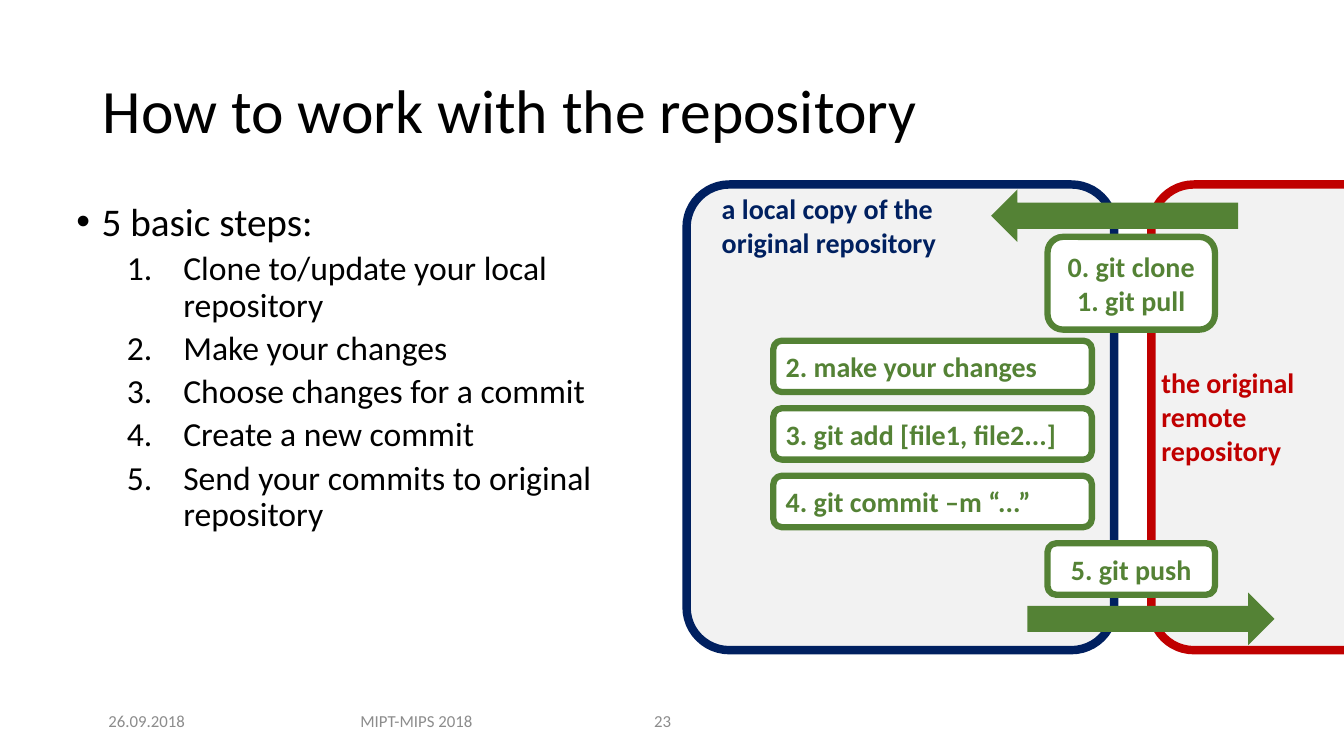
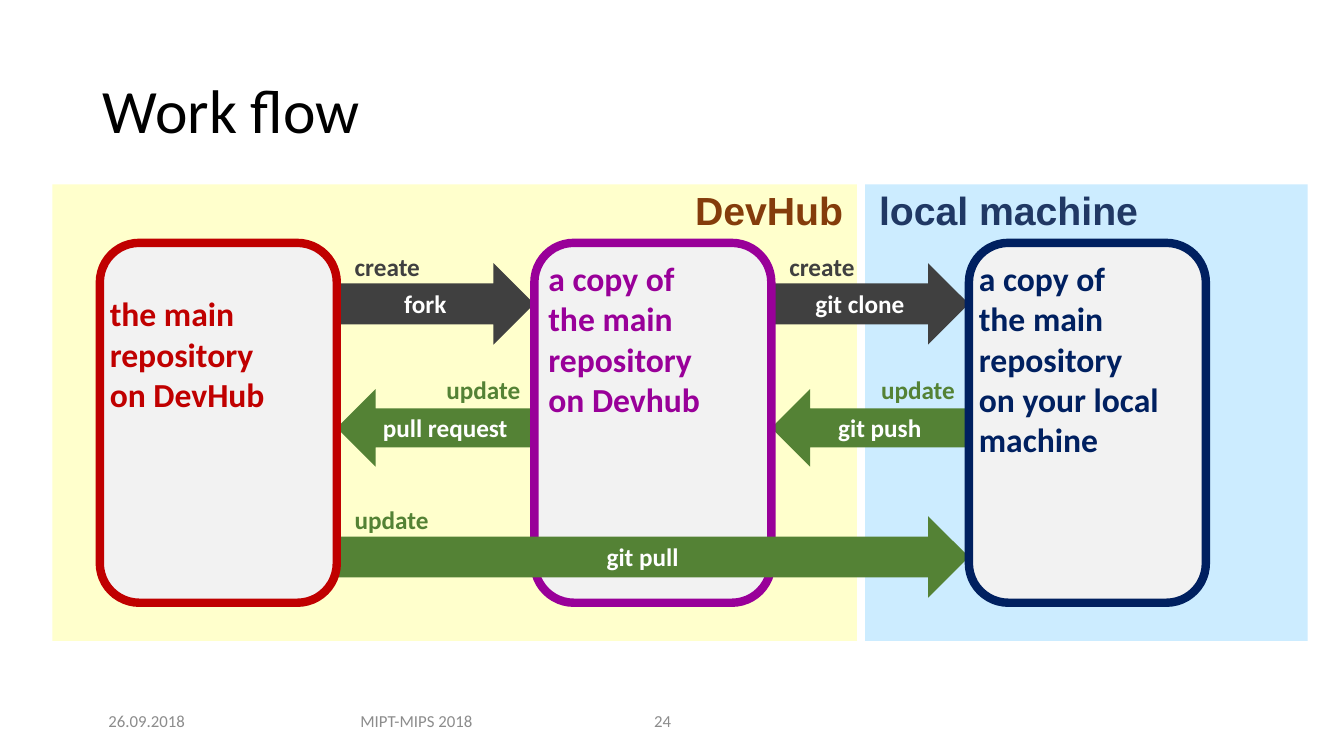
import pptx
import pptx.util
import pptx.dml.color
import pptx.enum.shapes
import pptx.enum.text
from lxml import etree

Inch = pptx.util.Inches
Pt = pptx.util.Pt
Kind = pptx.enum.shapes.MSO_SHAPE
Align = pptx.enum.text.PP_ALIGN
Anchor = pptx.enum.text.MSO_ANCHOR

# Shared look
WIDE, HIGH = 13.33, 7.5
BLACK, WHITE, PALE, GRAY = "000000", "FFFFFF", "F2F2F2", "8C8C8C"
RED, NAVY, PURPLE = "C00000", "002060", "990099"
GREEN, DARK = "548235", "404040"
FONT = {"name": "Calibri", "bold": False}
TITLE = {**FONT, "size": 44, "color": BLACK}
FOOT = {**FONT, "size": 12, "color": GRAY}
STEP = {**FONT, "size": 20, "bold": True, "color": GREEN}
FLOW = {**STEP, "size": 18}
REPO = {**STEP, "size": 24}
ZONE = {**STEP, "name": "Arial", "size": 28}


def rgb(code):
    return pptx.dml.color.RGBColor.from_string(code)


def style(font, form):
    for key, value in form.items():
        if key == "color":
            font.color.rgb = rgb(value)
        else:
            setattr(font, key, Pt(value) if key == "size" else value)


def place(shape, box):
    for key, value in zip(("left", "top", "width", "height"), box):
        setattr(shape, key, Inch(value))


def inner(box, left, top, width, height):
    """Box placed by offset from the corner of another one."""
    return box[0] + left, box[1] + top, width, height


def write(frame, text, form, align=Align.LEFT, anchor=Anchor.TOP):
    frame.text = text
    frame.word_wrap = True
    frame.vertical_anchor = anchor
    for para in frame.paragraphs:
        para.alignment = align
        style(para.font, form)


def label(slide, box, text, form, **look):
    shape = slide.shapes.add_textbox(*map(Inch, box))
    write(shape.text_frame, text, form, **look)


def block(slide, kind, box, fill, line=None, width=6):
    shape = slide.shapes.add_shape(kind, *map(Inch, box))
    shape.shadow.inherit = False
    shape.fill.solid()
    shape.fill.fore_color.rgb = rgb(fill)
    if line:
        shape.line.color.rgb = rgb(line)
        shape.line.width = Pt(width)
    else:
        shape.line.fill.background()
    return shape


# Title and footer of every slide
def start(deck, text, number):
    slide = deck.slides.add_slide(deck.slide_layouts[5])
    title = slide.shapes.title
    place(title, (0.92, 0.4, 11.5, 1.45))
    write(title.text_frame, text, TITLE, anchor=Anchor.MIDDLE)
    title.text_frame.auto_size = pptx.enum.text.MSO_AUTO_SIZE.NONE
    title.text_frame.paragraphs[0].line_spacing = 0.9
    for left, width, note, align in (
            (0.92, 1.07, "26.09.2018", Align.CENTER),
            (3.34, 1.58, "MIPT-MIPS 2018", Align.CENTER),
            (6.39, 0.79, str(number), Align.LEFT)):
        label(slide, (left, 6.95, width, 0.4), note, FOOT,
              align=align, anchor=Anchor.MIDDLE)
    return slide


# List with a bulleted head and numbered steps
def mark(para, left, hang, *tags):
    props = para._p.get_or_add_pPr()
    props.set("marL", str(Inch(left)))
    props.set("indent", str(Inch(-hang)))
    for tag, attrs in tags:
        etree.SubElement(props, pptx.oxml.ns.qn("a:" + tag), attrs)


def outline(slide, box, head, steps):
    frame = slide.shapes.add_textbox(*map(Inch, box)).text_frame
    frame.word_wrap = True
    for row, text in enumerate([head] + steps):
        para = frame.add_paragraph() if row else frame.paragraphs[0]
        para.text = text
        para.line_spacing = 0.9
        if row:
            para.level = 1
            para.space_before = Pt(5)
            mark(para, 1.06, 0.56, ("buAutoNum", {"type": "arabicPeriod"}))
        else:
            mark(para, 0.25, 0.25, ("buFont", {"typeface": "Arial"}),
                 ("buChar", {"char": "•"}))
        style(para.font, {**FONT, "size": 24 if row else 28, "color": BLACK})


# Rounded panel of a repository with its name
def repo(slide, box, color, text, spot, form=REPO, curve=None):
    panel = block(slide, Kind.ROUNDED_RECTANGLE, box, PALE, color)
    if curve:
        panel.adjustments[0] = curve
    label(slide, inner(box, *spot), text, {**form, "color": color})


def step(slide, box, text, align=Align.LEFT):
    shape = block(slide, Kind.ROUNDED_RECTANGLE, box, WHITE, GREEN, 4.5)
    write(shape.text_frame, text, STEP, align, Anchor.MIDDLE)


# Local and remote repositories with the commands between them
def commands(slide, box):
    left, top, pitch = box[0], box[1], 0.67
    repo(slide, (left + 4.61, top, 2.53, box[3]), RED,
         "the original remote repository", (0, 1.75, 1.6, 1.11), STEP)
    repo(slide, (left, top, 4.24, box[3]), NAVY,
         "a local copy of the original repository",
         (0.25, 0.02, 2.42, 0.77), STEP, 0.1)
    for row, text in enumerate(("2. make your changes",
                                "3. git add [file1, file2...]",
                                "4. git commit –m “...”")):
        step(slide, inner(box, 0.86, 1.55 + row * pitch, 3.16, 0.51), text)
    for down, tall, text in ((1.55 + 3 * pitch, 0.51, "5. git push"),
                             (0.52, 0.92, "0. git clone\n1. git pull")):
        step(slide, inner(box, 3.58, down, 1.66, tall), text, Align.CENTER)
    for kind, over, down in ((Kind.RIGHT_ARROW, 3.38, 4.05),
                             (Kind.LEFT_ARROW, 3.02, 0.05)):
        block(slide, kind, inner(box, over, down, 2.45, 0.52), GREEN)


# Coloured zone with its heading across the top
def zone(slide, box, fill, color, text, align):
    block(slide, Kind.RECTANGLE, box, fill)
    label(slide, inner(box, 0.04, -0.03, box[2] - 0.08, 0.57), text,
          {**ZONE, "color": color}, align=align)


# Arrow with a command inside and a note above it
def arrow(slide, box, color, text, note, back=False):
    kind = Kind.LEFT_ARROW if back else Kind.RIGHT_ARROW
    shape = block(slide, kind, box, color)
    write(shape.text_frame, text, {**FLOW, "color": WHITE},
          Align.CENTER, Anchor.MIDDLE)
    over, down = (0.99, -0.2) if back else (0.08, -0.17)
    label(slide, inner(box, over, down, 0.94, 0.4), note,
          {**FLOW, "color": color})


# Three repositories in even columns, joined by arrows
def flow(slide, box):
    wide, gap = 2.35, 1.96
    pitch = wide + gap

    def column(index):
        return inner(box, index * pitch, 0, wide, box[3])

    def lane(index, down, tall, span=gap):
        return inner(box, index * pitch + wide, down, span, tall)

    for index, text in enumerate(("fork", "git clone")):
        arrow(slide, lane(index, 0.2, 0.81), DARK, text, "create")
    for index, text in enumerate(("pull request", "git push")):
        arrow(slide, lane(index, 1.45, 0.77), GREEN, text, "update", True)
    repo(slide, column(1), PURPLE,
         "a copy of\nthe main repository\non Devhub", (0.04, 0.1, wide, 1.72))
    arrow(slide, lane(0, 2.71, 0.81, gap + pitch), GREEN,
          "git pull", "update")
    repo(slide, column(2), NAVY,
         "a copy of\nthe main repository\non your local machine",
         (0, 0.1, wide, 2.12))
    repo(slide, column(0), RED,
         "the main repository\non DevHub", (0, 0.45, wide, 1.31))


def main():
    deck = pptx.Presentation()
    deck.slide_width, deck.slide_height = Inch(WIDE), Inch(HIGH)

    slide = start(deck, "How to work with the repository", 23)
    outline(slide, (0.66, 1.96, 5.71, 4.52), "5 basic steps:", [
        "Clone to/update your local repository",
        "Make your changes",
        "Choose changes for a commit",
        "Create a new commit",
        "Send your commits to original repository"])
    commands(slide, (6.81, 1.83, 7.14, 4.62))

    slide = start(deck, "Work flow", 24)
    zone(slide, (0.52, 1.83, 7.98, 4.53), "FFFFCC", "843C0B",
         "DevHub", Align.RIGHT)
    zone(slide, (8.58, 1.83, 4.39, 4.53), "CCECFF", "203864",
         "local machine", Align.LEFT)
    flow(slide, (0.99, 2.41, 10.97, 3.57))

    deck.save("out.pptx")


if __name__ == "__main__":
    main()
